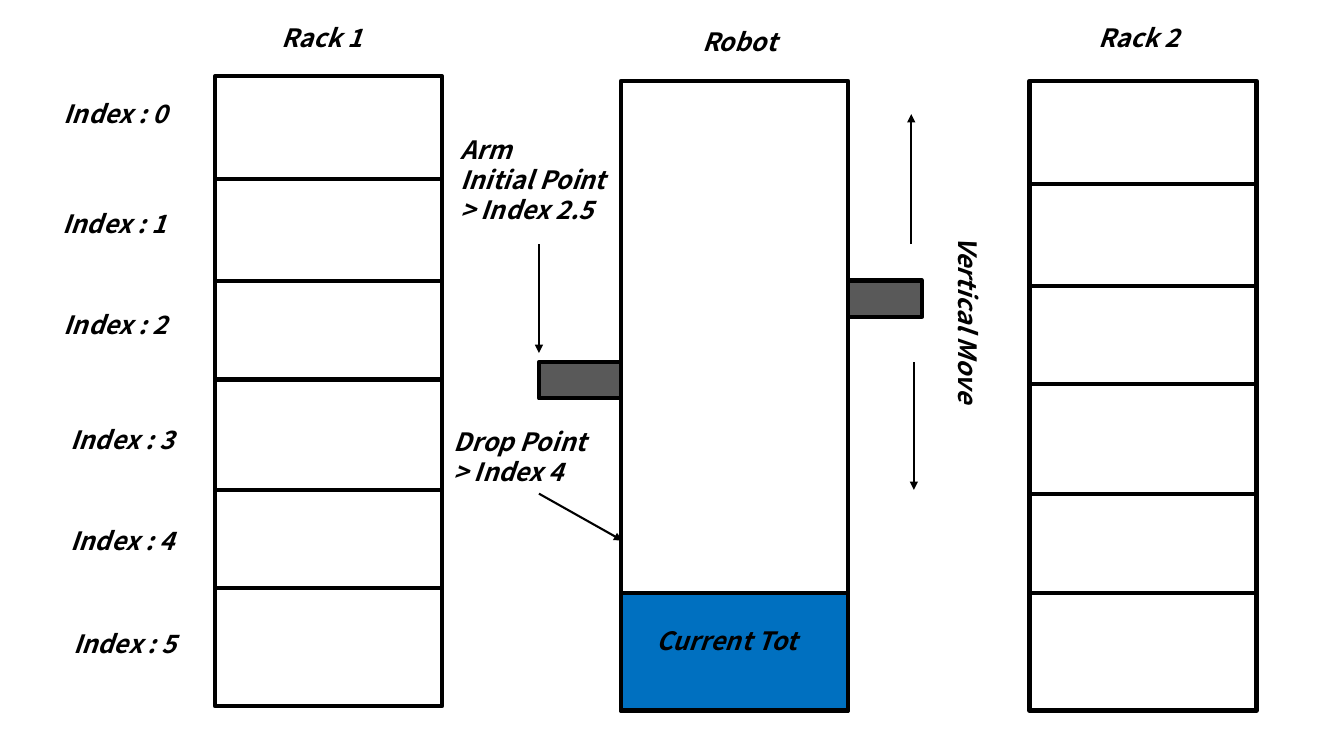
from pptx import Presentation
from pptx.dml.color import RGBColor
from pptx.enum.shapes import MSO_CONNECTOR, MSO_SHAPE
from pptx.oxml.ns import qn
from pptx.util import Inches, Pt
from lxml.etree import SubElement

BLACK = RGBColor(0, 0, 0)
WHITE = RGBColor(255, 255, 255)
GRAY = RGBColor(0x59, 0x59, 0x59)
BLUE = RGBColor(0x00, 0x70, 0xC0)
FONT_NAME = "Noto Sans CJK KR"

presentation = Presentation()
presentation.slide_width = Inches(13.33)
presentation.slide_height = Inches(7.5)
slide = presentation.slides.add_slide(presentation.slide_layouts[6])

# The slide is a grid of 100 columns and 100 rows.
COLUMN = presentation.slide_width / 100
ROW = presentation.slide_height / 100


def add_line(start_column, start_row, end_column, end_row, width, arrow=False):
    """Draw a black line between two grid points, with an optional arrowhead."""
    connector = slide.shapes.add_connector(
        MSO_CONNECTOR.STRAIGHT, int(start_column * COLUMN), int(start_row * ROW),
        int(end_column * COLUMN), int(end_row * ROW))
    connector.line.color.rgb = BLACK
    connector.line.width = Pt(width)
    if arrow:
        SubElement(connector.line._get_or_add_ln(), qn("a:tailEnd"), type="triangle")
    SubElement(connector._element.spPr, qn("a:effectLst"))


def add_label(text, column, row, columns, rows=5.3, rotation=0):
    """Place bold italic text on the grid."""
    label = slide.shapes.add_textbox(int(column * COLUMN), int(row * ROW),
                                     int(columns * COLUMN), int(rows * ROW))
    label.rotation = rotation
    label.text_frame.word_wrap = True
    label.text_frame.text = text
    for paragraph in label.text_frame.paragraphs:
        for run in paragraph.runs:
            run.font.name = FONT_NAME
            run.font.size = Pt(18)
            run.font.bold = run.font.italic = True
            run.font.color.rgb = BLACK


# Arms, racks and robot, from back to front
RACK_WIDTH, RACK_HEIGHT = 16.9, 83.3
SHELF_OFFSETS = (13.6, 27.1, 40.1, 54.7, 67.7)
TOT_OFFSET = SHELF_OFFSETS[-1]
RACKS = ((16, 10.1), (76.6, 10.7))
ROBOT_COLUMN, ROBOT_ROW = 46.2, 10.7

boxes = [(59.4, 37.1, 9.2, 4.8, GRAY), (40.1, 47.9, 9.2, 4.8, GRAY)]
boxes += [(column, row, RACK_WIDTH, RACK_HEIGHT, WHITE) for column, row in RACKS]
boxes += [(ROBOT_COLUMN, ROBOT_ROW, RACK_WIDTH, RACK_HEIGHT, WHITE),
          (ROBOT_COLUMN, ROBOT_ROW + TOT_OFFSET, RACK_WIDTH,
           RACK_HEIGHT - TOT_OFFSET, BLUE)]
for column, row, columns, rows, color in boxes:
    shape = slide.shapes.add_shape(
        MSO_SHAPE.RECTANGLE, int(column * COLUMN), int(row * ROW),
        int(columns * COLUMN), int(rows * ROW))
    shape.shadow.inherit = False
    shape.fill.solid()
    shape.fill.fore_color.rgb = color
    shape.line.color.rgb = BLACK
    shape.line.width = Pt(3)

for column, row in RACKS:
    for offset in SHELF_OFFSETS:
        add_line(column + RACK_WIDTH, row + offset, column, row + offset, 3)

# Headings and shelf indexes
for heading, column, row in (("Rack 1", 20.2, 2.3), ("Robot", 51.5, 2.8),
                             ("Rack 2", 81, 2.3)):
    add_label(heading, column, row, 10.7)
add_label("Current Tot", 48.1, 82.1, 17.6)

INDEX_POSITIONS = ((4, 12.4), (3.9, 26.9), (4, 40.3),
                   (4.5, 55.5), (4.5, 68.8), (4.7, 82.4))
for index, (column, row) in enumerate(INDEX_POSITIONS):
    add_label(f"Index : {index}", column, row, 9.4)

# Notes on the arm, the drop point and the vertical move
add_label("Arm \nInitial Point \n> Index 2.5", 33.5, 17.1, 15.8, 13.5)
add_label("Drop Point \n> Index 4", 33, 55.7, 15.8, 9.5)
add_label("Vertical Move", 64.1, 41.5, 16, rotation=90)

ARROWS = ((40.1, 32.3, 40.1, 46.7), (40.1, 65.3, 46.3, 71.5),
          (67.8, 32.3, 67.8, 15.1), (68, 47.9, 68, 64.8))
for arrow_points in ARROWS:
    add_line(*arrow_points, 1.5, arrow=True)

presentation.save("out.pptx")
